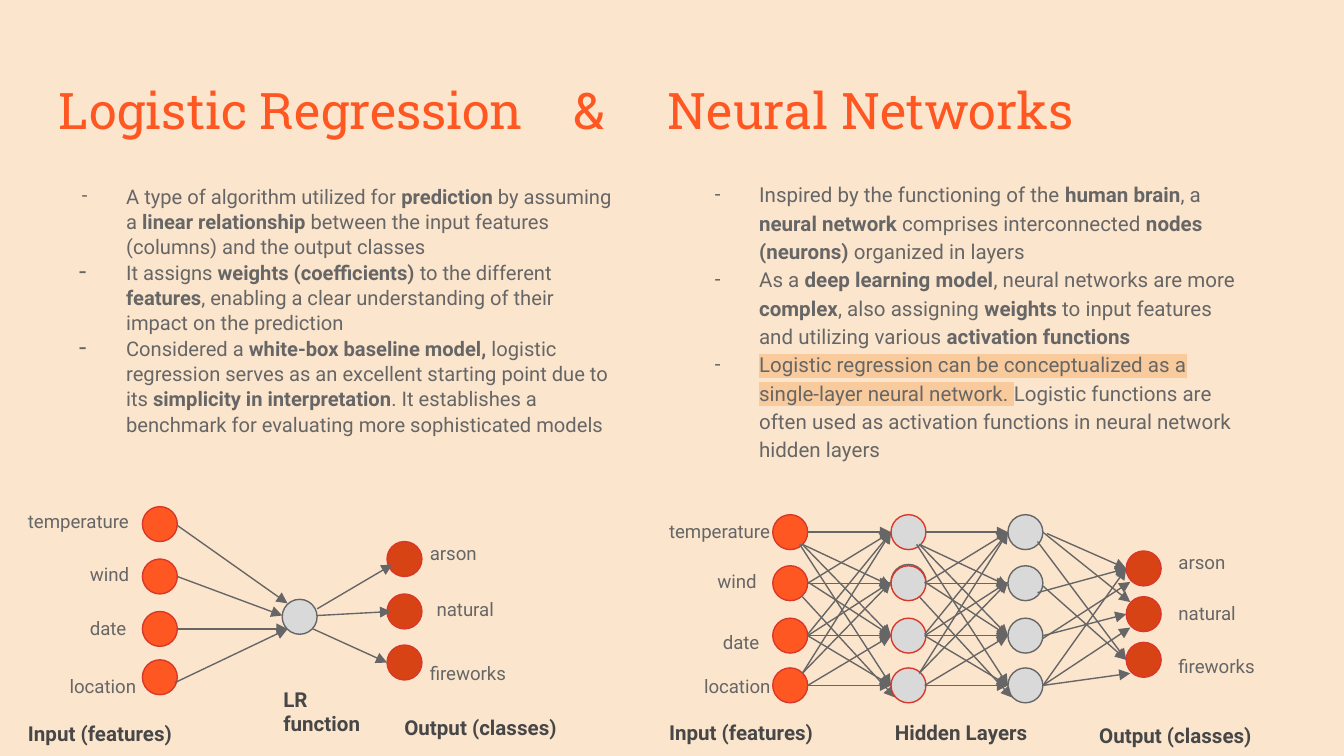
from lxml.etree import SubElement
from pptx import Presentation
from pptx.dml.color import RGBColor
from pptx.enum.shapes import MSO_CONNECTOR, MSO_SHAPE
from pptx.oxml.ns import qn
from pptx.util import Inches, Pt

CREAM = RGBColor(0xFC, 0xE5, 0xCD)
ORANGE = RGBColor(0xFF, 0x57, 0x22)
DEEP_ORANGE = RGBColor(0xD8, 0x43, 0x15)
RED = RGBColor(0xD8, 0x37, 0x29)
GRAY = RGBColor(0x66, 0x66, 0x66)
DARK_GRAY = RGBColor(0x47, 0x47, 0x47)
LIGHT_GRAY = RGBColor(0xD9, 0xD9, 0xD9)
PEACH = RGBColor(0xF9, 0xCB, 0x9C)

SLIDE_WIDTH = Inches(10)
SLIDE_HEIGHT = SLIDE_WIDTH * 9 // 16
NODE_SIZE = 0.26
LAYER_GAP = 0.87
LAYER_TOPS = (3.83, 4.21, 4.6, 4.97)

REGRESSION_POINTS = (
    ("A type of algorithm utilized for *prediction* by assuming a *linear relationship*"
     " between the input features (columns) and the output classes", 0.33, 100),
    ("It assigns *weights (coefficients)* to the different *features*, enabling a clear"
     " understanding of their impact on the prediction", 0.35, 129),
    ("Considered a *white-box baseline model,* logistic regression serves as an excellent"
     " starting point due to its* simplicity in interpretation*. It establishes a benchmark"
     " for evaluating more sophisticated models", 0.35, 129),
)
HIGHLIGHT = "Logistic regression can be conceptualized as a single-layer neural network. "
NETWORK_POINTS = (
    ("Inspired by the functioning of the *human brain*, a *neural network* comprises"
     " interconnected *nodes (neurons)* organized in layers", 0.33, 100),
    ("As a *deep learning model*, neural networks are more *complex*, also assigning *weights*"
     " to input features and utilizing various *activation functions*", 0.33, 100),
    (f"*{HIGHLIGHT}*Logistic functions are often used as activation functions in neural"
     " network hidden layers", 0.33, 100),
)

REGRESSION_INPUT_EDGES = (
    (1.32, 3.91, 2.14, 4.49), (1.32, 4.29, 2.1, 4.58),
    (1.32, 4.68, 2.14, 4.68), (1.3, 5.08, 2.14, 4.68),
)
REGRESSION_OUTPUT_EDGES = (
    (2.36, 4.53, 2.92, 4.2), (2.36, 4.58, 2.91, 4.55), (2.33, 4.68, 2.88, 4.93),
)
LAYER_EDGES = (
    (6.01, 4.34, 6.63, 3.96), (6.01, 4.72, 6.63, 3.96), (5.97, 5.01, 6.63, 3.96),
    (6.01, 3.96, 6.63, 3.96), (6.01, 4.34, 6.63, 4.34), (5.97, 4.05, 6.63, 4.36),
    (6.01, 4.73, 6.63, 4.33), (5.97, 5.01, 6.63, 4.33), (6.01, 4.73, 6.63, 4.73),
    (5.97, 4.05, 6.63, 4.73), (6.01, 4.33, 6.63, 4.73), (6.01, 5.1, 6.63, 4.73),
    (5.95, 4.05, 6.63, 5.1), (5.97, 4.44, 6.66, 5.19), (6.01, 4.73, 6.63, 5.1),
    (6.01, 5.1, 6.63, 5.1),
)
NETWORK_OUTPUT_EDGES = (
    (7.76, 5.1, 8.41, 4.67), (7.76, 4.75, 8.41, 4.33), (7.76, 3.96, 8.41, 4.48),
    (7.76, 4.36, 8.38, 4.91), (7.76, 5.1, 8.41, 5.01), (7.76, 5.1, 8.38, 4.23),
    (7.72, 4.03, 8.38, 4.91), (7.79, 3.97, 8.38, 4.23), (7.72, 4.41, 8.38, 4.23),
    (7.76, 4.73, 8.38, 4.57),
)
LABELS = (
    ("temperature", 0.11, 3.67), ("wind", 0.57, 4.07), ("date", 0.57, 4.47),
    ("location", 0.42, 4.9), ("arson", 3.1, 3.91), ("natural", 3.15, 4.33),
    ("fireworks", 3.1, 4.8), ("arson", 8.67, 3.98), ("natural", 8.67, 4.36),
    ("fireworks", 8.67, 4.75), ("temperature", 4.88, 3.75), ("wind", 5.24, 4.12),
    ("date", 5.28, 4.57), ("location", 5.14, 4.9),
)
CAPTIONS = (
    ("Input (features)", 0.11, 5.28, 1.33), ("Output (classes)", 2.91, 5.23, 1.5),
    ("LR function", 2.01, 5.03, 0.97), ("Input (features)", 4.88, 5.27, 1.33),
    ("Hidden Layers", 6.56, 5.27, 1.33), ("Output (classes)", 8.08, 5.29, 1.5),
)


class DiagramSlide:
    """Draws text, nodes and arrows in one style on the current slide."""

    font_name = "Roboto"
    line_width = Pt(0.75)

    def __init__(self, slide):
        self.slide = slide
        slide.background.fill.solid()
        slide.background.fill.fore_color.rgb = CREAM

    def style(self, font, size, color=GRAY, bold=False, name=font_name):
        font.name, font.size, font.bold = name, Pt(size), bold
        font.color.rgb = color

    def text_box(self, left, top, width, height):
        shape = self.slide.shapes.add_textbox(
            Inches(left), Inches(top), Inches(width), Inches(height))
        text_frame = shape.text_frame
        text_frame.word_wrap = True
        text_frame.margin_left = text_frame.margin_right = Inches(0.1)
        text_frame.margin_top = text_frame.margin_bottom = Inches(0.1)
        return text_frame

    def label(self, text, left, top, width=1.33, height=0.44, size=10, **style):
        text_frame = self.text_box(left, top, width, height)
        text_frame.text = text
        paragraph = text_frame.paragraphs[0]
        self.style(paragraph.runs[0].font, size, **style)
        return paragraph

    def title(self, text, tab_stops):
        paragraph = self.label(text, 0.34, 0.49, 9.32, 0.63, 27, color=ORANGE, name="Roboto Slab")
        tabs = SubElement(paragraph._p.get_or_add_pPr(), qn("a:tabLst"))
        for position in tab_stops:
            SubElement(tabs, qn("a:tab"), pos=str(Inches(position)), algn="l")

    def bullets(self, points, left, top, width, height, size, spacing):
        text_frame = self.text_box(left, top, width, height)
        for index, (text, hanging, bullet_percent) in enumerate(points):
            paragraph = text_frame.paragraphs[0] if index == 0 else text_frame.add_paragraph()
            self.dash(paragraph, hanging, bullet_percent)
            paragraph.line_spacing = spacing
            for position, piece in enumerate(text.split("*")):
                if piece:
                    run = paragraph.add_run()
                    run.text = piece
                    emphasized = position % 2 == 1 and piece != HIGHLIGHT
                    self.style(run.font, size, bold=emphasized)
                    if piece == HIGHLIGHT:
                        self.highlight(run)

    def dash(self, paragraph, hanging, percent):
        properties = paragraph._p.get_or_add_pPr()
        properties.set("marL", str(Inches(0.5)))
        properties.set("indent", str(-Inches(hanging)))
        SubElement(SubElement(properties, qn("a:buClr")), qn("a:srgbClr"), val=str(GRAY))
        SubElement(properties, qn("a:buSzPct"), val=str(percent * 1000))
        SubElement(properties, qn("a:buFont"), typeface=self.font_name)
        SubElement(properties, qn("a:buChar"), char="-")

    def highlight(self, run):
        properties = run.font._element
        marker = SubElement(properties, qn("a:highlight"))
        SubElement(marker, qn("a:srgbClr"), val=str(PEACH))
        properties.find(qn("a:solidFill")).addnext(marker)

    def nodes(self, left, tops, fill, line=RED):
        for top in tops:
            shape = self.slide.shapes.add_shape(
                MSO_SHAPE.OVAL, Inches(left), Inches(top), Inches(NODE_SIZE), Inches(NODE_SIZE))
            shape.shadow.inherit = False
            shape.fill.solid()
            shape.fill.fore_color.rgb = fill
            shape.line.color.rgb = line
            shape.line.width = self.line_width

    def arrows(self, edges, shift=0):
        for start_x, start_y, end_x, end_y in edges:
            connector = self.slide.shapes.add_connector(
                MSO_CONNECTOR.STRAIGHT, Inches(start_x + shift), Inches(start_y),
                Inches(end_x + shift), Inches(end_y))
            connector.line.color.rgb = GRAY
            connector.line.width = self.line_width
            SubElement(connector.line._get_or_add_ln(), qn("a:tailEnd"), type="triangle")
            SubElement(connector._element.spPr, qn("a:effectLst"))


def main():
    presentation = Presentation()
    presentation.slide_width, presentation.slide_height = SLIDE_WIDTH, SLIDE_HEIGHT
    diagram = DiagramSlide(presentation.slides.add_slide(presentation.slide_layouts[6]))

    diagram.title("Logistic Regression\t&\tNeural Networks", (3.83, 4.53))
    diagram.bullets(REGRESSION_POINTS, 0.34, 1.26, 4.32, 2.37, 10.8, 1.05)
    diagram.bullets(NETWORK_POINTS, 5.05, 1.23, 4.36, 2.32, 11, 1.15)

    diagram.nodes(1.06, (3.77, 4.16, 4.55, 4.91), ORANGE)
    diagram.arrows(REGRESSION_INPUT_EDGES)
    diagram.nodes(2.1, (4.46,), LIGHT_GRAY, GRAY)
    diagram.nodes(2.88, (4.03, 4.42, 4.8), DEEP_ORANGE)
    diagram.arrows(REGRESSION_OUTPUT_EDGES)

    diagram.nodes(5.75, LAYER_TOPS, ORANGE)
    diagram.nodes(6.63, (4.2,), LIGHT_GRAY, GRAY)
    diagram.arrows(LAYER_EDGES)
    diagram.nodes(6.63, LAYER_TOPS, LIGHT_GRAY)
    diagram.nodes(7.5, LAYER_TOPS, LIGHT_GRAY, GRAY)
    diagram.arrows(LAYER_EDGES, LAYER_GAP)
    diagram.nodes(8.38, (4.1, 4.44, 4.78), DEEP_ORANGE)
    diagram.arrows(NETWORK_OUTPUT_EDGES)

    for text, left, top in LABELS:
        diagram.label(text, left, top).line_spacing = 1.15
    for text, left, top, width in CAPTIONS:
        diagram.label(text, left, top, width, 0.18, 11, color=DARK_GRAY, bold=True)
    presentation.save("out.pptx")


if __name__ == "__main__":
    main()
